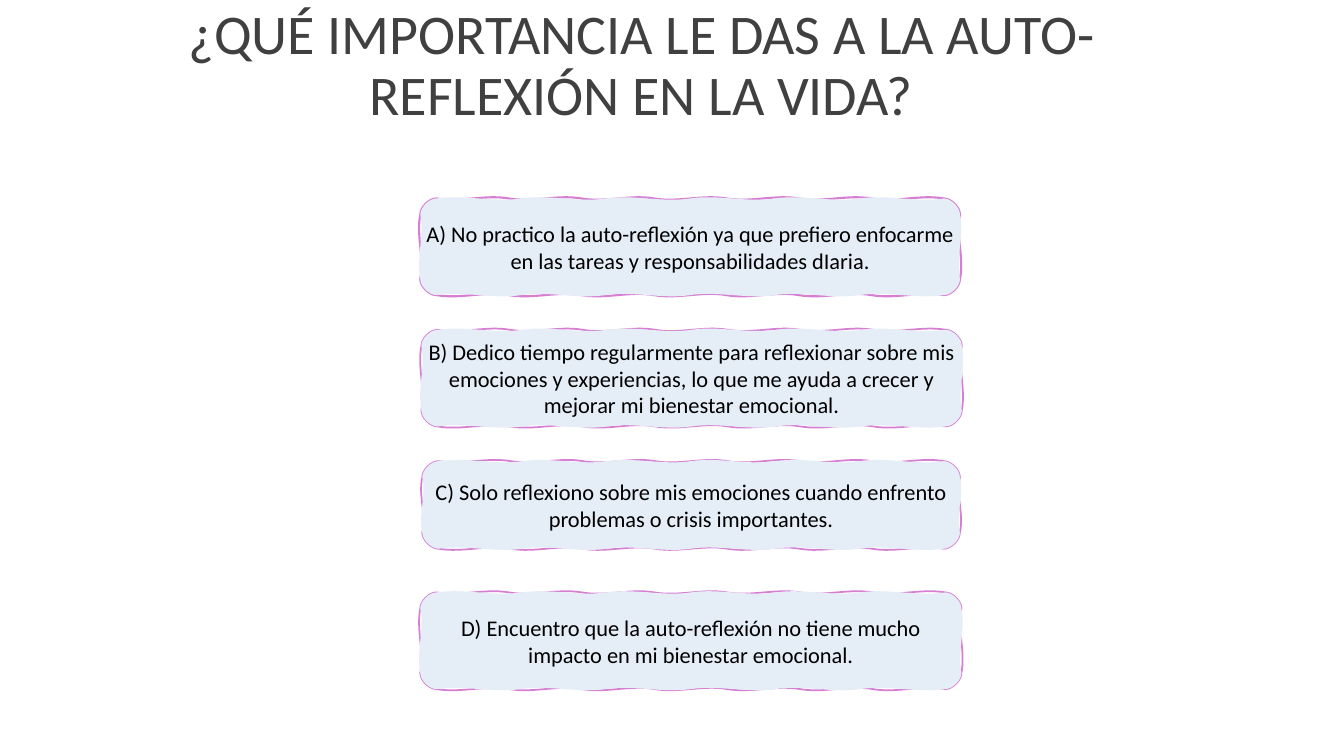
from copy import deepcopy
from dataclasses import dataclass

from lxml.etree import SubElement
from pptx import Presentation
from pptx.dml.color import RGBColor
from pptx.enum.text import MSO_ANCHOR, PP_ALIGN
from pptx.oxml.ns import qn
from pptx.util import Pt


@dataclass(frozen=True)
class Theme:
    font: str = "Calibri"
    head: int = 40
    body: int = 16
    grey: str = "404040"
    ink: str = "000000"
    fill: str = "E5EEF7"
    edge: str = "D67FD2"
    back: str = "FFFFFF"


THEME = Theme()
TITLE = "¿QUÉ IMPORTANCIA LE DAS A LA AUTO-REFLEXIÓN EN LA VIDA?"
# answer, left, width, height, line width
CARDS = [
    ("A) No practico la auto-reflexión ya que prefiero enfocarme en las tareas "
     "y responsabilidades dIaria.", 300.2, 385.5, 69, 1.5),
    ("B) Dedico tiempo regularmente para reflexionar sobre mis emociones y "
     "experiencias, lo que me ayuda a crecer y mejorar mi bienestar emocional.",
     301, 386, 69, 1.25),
    ("C) Solo reflexiono sobre mis emociones cuando enfrento problemas o crisis "
     "importantes.", 301.7, 384, 62.5, 1.25),
    ("D) Encuentro que la auto-reflexión no tiene mucho impacto en mi bienestar "
     "emocional.", 300.2, 386.5, 69, 1.25),
]
TOP, STEP = 141.8, 93.8


def write(shape, text, size, color, spacing=None):
    frame = shape.text_frame
    frame.word_wrap = True
    frame.vertical_anchor = MSO_ANCHOR.MIDDLE
    para = frame.paragraphs[0]
    para.alignment = PP_ALIGN.CENTER
    para.line_spacing = spacing
    run = para.add_run()
    run.text = text
    run.font.name = THEME.font
    run.font.size = Pt(size)
    run.font.color.rgb = RGBColor.from_string(color)


def wavy(x, y, w, h, count, sway, radius=11.5):
    """Start, then three points per curve, of a box with wavy long sides."""
    right, low, r, bend = x + w, y + h, radius, radius * 0.45
    # each side: start, end, direction, number of waves
    sides = [((x + r, y), (right - r, y), (1, 0), count),
             ((right, y + r), (right, low - r), (0, 1), 1),
             ((right - r, low), (x + r, low), (-1, 0), count),
             ((x, low - r), (x, y + r), (0, -1), 1)]
    points = [sides[0][0]]
    for i, ((ax, ay), (bx, by), (ux, uy), waves) in enumerate(sides):
        dx, dy = (bx - ax) / waves, (by - ay) / waves
        for k in range(waves):
            for part, lean in ((1 / 3, sway), (2 / 3, -sway), (1, 0)):
                points.append((ax + dx * (k + part) - uy * lean,
                               ay + dy * (k + part) + ux * lean))
        (nx, ny), _, (vx, vy), _ = sides[(i + 1) % 4]
        points += [(bx + ux * bend, by + uy * bend),
                   (nx - vx * bend, ny - vy * bend), (nx, ny)]
    return [(Pt(px), Pt(py)) for px, py in points]


def curve(shape):
    """Turn the lines into curves, as a line-only path below a fill-only path."""
    line = next(shape.element.iter(qn("a:path")))
    lines = line.findall(qn("a:lnTo"))
    for i in range(0, len(lines), 3):
        bow = SubElement(line, qn("a:cubicBezTo"))
        lines[i].addprevious(bow)
        for node in lines[i:i + 3]:
            bow.append(node[0])
            line.remove(node)
    fill = deepcopy(line)
    line.addnext(fill)
    cut = line.index(line.find(qn("a:close"))) + 1
    for node in line[cut:]:
        line.remove(node)
    for node in fill[:cut]:
        fill.remove(node)
    line.set("fill", "none")
    fill.set("stroke", "0")


def card(slide, box, text, weight):
    line, fill = wavy(*box, 7, 3), wavy(*box, 6, -3)
    pen = slide.shapes.build_freeform(*line[0])
    pen.add_line_segments(line[1:], close=True)
    pen.move_to(*fill[0])
    pen.add_line_segments(fill[1:], close=True)
    shape = pen.convert_to_shape()
    curve(shape)
    shape.shadow.inherit = False
    shape.fill.solid()
    shape.fill.fore_color.rgb = RGBColor.from_string(THEME.fill)
    shape.line.color.rgb = RGBColor.from_string(THEME.edge)
    shape.line.width = Pt(weight)
    write(shape, text, THEME.body, THEME.ink)


def title(slide, box, text):
    shape = slide.shapes.add_textbox(*map(Pt, box))
    write(shape, text, THEME.head, THEME.grey, spacing=0.9)


def main():
    deck = Presentation()
    deck.slide_width, deck.slide_height = Pt(960), Pt(540)
    slide = deck.slides.add_slide(deck.slide_layouts[6])
    slide.background.fill.solid()
    slide.background.fill.fore_color.rgb = RGBColor.from_string(THEME.back)
    title(slide, (44, -4.3, 828, 104.4), TITLE)
    for i, (text, left, width, height, weight) in enumerate(CARDS):
        card(slide, (left, TOP + i * STEP, width, height), text, weight)
    deck.save("out.pptx")


if __name__ == "__main__":
    main()
